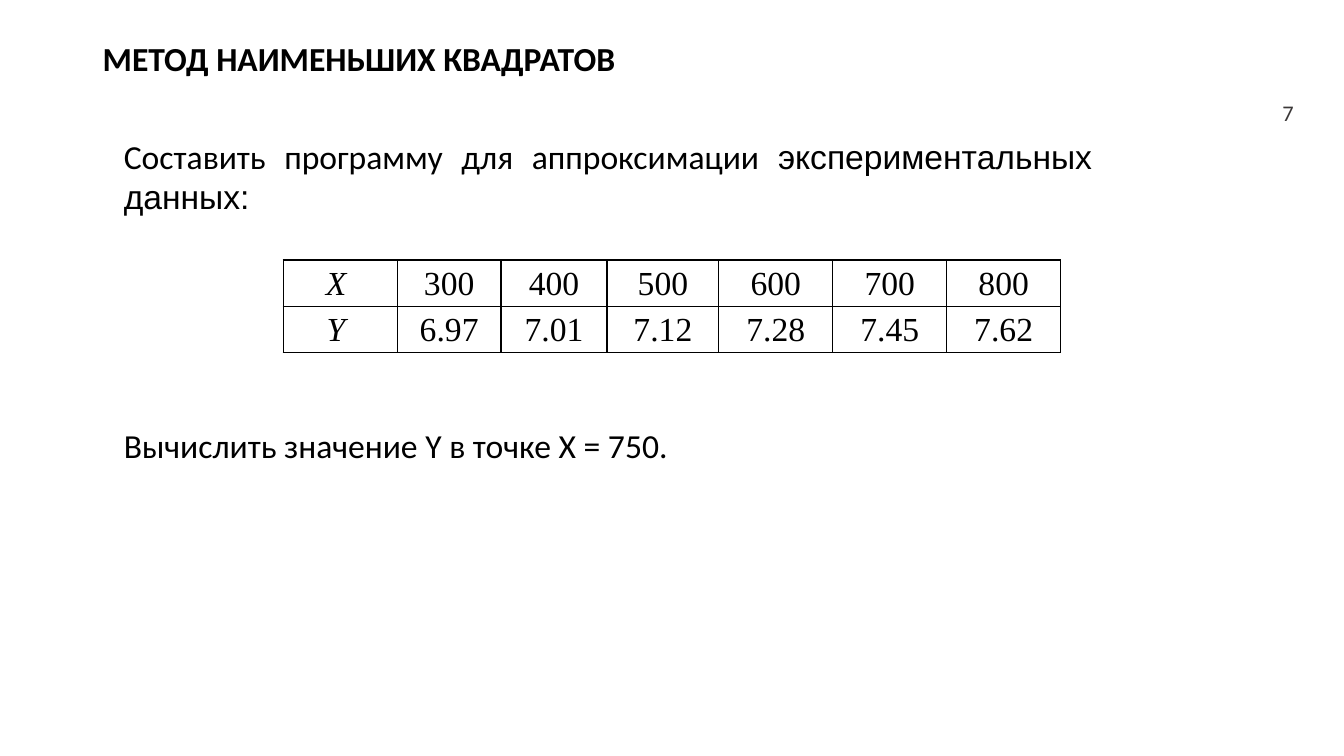
from lxml import etree
from pptx import Presentation
from pptx.dml.color import RGBColor
from pptx.enum.text import MSO_ANCHOR as Anchor, PP_ALIGN as Align
from pptx.oxml.ns import qn
from pptx.util import Inches, Pt

# Content
BLACK, GREY, WHITE = "000000", "3B3838", "FFFFFF"
BODY = {"name": "Calibri", "size": Pt(24)}
TITLE = {**BODY, "bold": True}
NUMBER = {**BODY, "size": Pt(16)}
TEXTS = [
    # position, anchor, paragraph format, spans, colour
    ((0.92, 0.17, 10.78, 0.87), Anchor.MIDDLE,
     {"alignment": Align.LEFT, "line_spacing": 0.9},
     [("МЕТОД НАИМЕНЬШИХ КВАДРАТОВ", TITLE)], BLACK),
    ((12.42, 0.92, 0.51, 0.4), Anchor.MIDDLE, {"alignment": Align.RIGHT},
     [("7", NUMBER)], GREY),
    ((1.13, 1.3, 9.8, 0.91), Anchor.TOP, {"alignment": Align.JUSTIFY},
     [("Составить программу для аппроксимации ", BODY),
      ("экспериментальных данных: ", {**BODY, "name": "Arial"})], BLACK),
    ((1.13, 4.17, 8.67, 0.5), Anchor.TOP, {"alignment": Align.JUSTIFY},
     [("Вычислить значение Y в точке X = 750.", BODY)], BLACK),
]
ROWS = [
    ["X ", "300", "400", "500", "600", "700", "800"],
    ["Y ", "6.97", "7.01", "7.12", "7.28", "7.45", "7.62"],
]
COLUMN_WIDTHS = [1.13, 1.03, 1.05, 1.11, 1.13, 1.13, 1.13]
TABLE_LEFT, TABLE_TOP, ROW_HEIGHT = 2.81, 2.58, 0.46
CELL_TEXT = {"name": "Times New Roman", "size": Pt(24)}
CELL_PARA = {"alignment": Align.CENTER, "line_spacing": 1.15}
CELL_FORMAT = {"margin_left": Inches(0.07), "margin_right": Inches(0.07),
               "margin_top": 0, "margin_bottom": 0}


def apply(target, values):
    for name, value in values.items():
        setattr(target, name, value)


def paint(fmt, color):
    fmt.rgb = RGBColor.from_string(color)


def write(para, para_format, spans, color):
    apply(para, para_format)
    for text, font in spans:
        span = para.add_run()
        span.text = text
        apply(span.font, font)
        paint(span.font.color, color)


def add_borders(cell):
    props = cell._tc.get_or_add_tcPr()
    for index, side in enumerate(("a:lnL", "a:lnR", "a:lnT", "a:lnB")):
        line = etree.Element(qn(side), w=str(Pt(1)))
        fill = etree.SubElement(line, qn("a:solidFill"))
        etree.SubElement(fill, qn("a:srgbClr"), val=BLACK)
        props.insert(index, line)


# Slide
deck = Presentation()
deck.slide_width, deck.slide_height = Inches(13.33), Inches(7.5)
page = deck.slides.add_slide(deck.slide_layouts[6])
page.background.fill.solid()
paint(page.background.fill.fore_color, WHITE)

# Title, page number and task text
for place, anchor, para_format, spans, color in TEXTS:
    box = page.shapes.add_textbox(*map(Inches, place))
    apply(box.text_frame, {"word_wrap": True, "vertical_anchor": anchor})
    write(box.text_frame.paragraphs[0], para_format, spans, color)

# Table of measurements
frame = page.shapes.add_table(
    len(ROWS), len(COLUMN_WIDTHS), Inches(TABLE_LEFT), Inches(TABLE_TOP),
    Inches(sum(COLUMN_WIDTHS)), Inches(ROW_HEIGHT * len(ROWS)))
table = frame.table
apply(table, {"first_row": False, "horz_banding": False})
for column, width in zip(table.columns, COLUMN_WIDTHS):
    column.width = Inches(width)
for row, values in zip(table.rows, ROWS):
    row.height = Inches(ROW_HEIGHT)
    for index, (cell, value) in enumerate(zip(row.cells, values)):
        apply(cell, CELL_FORMAT)
        cell.fill.background()
        add_borders(cell)
        font = {**CELL_TEXT, "italic": index == 0}
        write(cell.text_frame.paragraphs[0], CELL_PARA, [(value, font)], BLACK)

deck.save("out.pptx")
